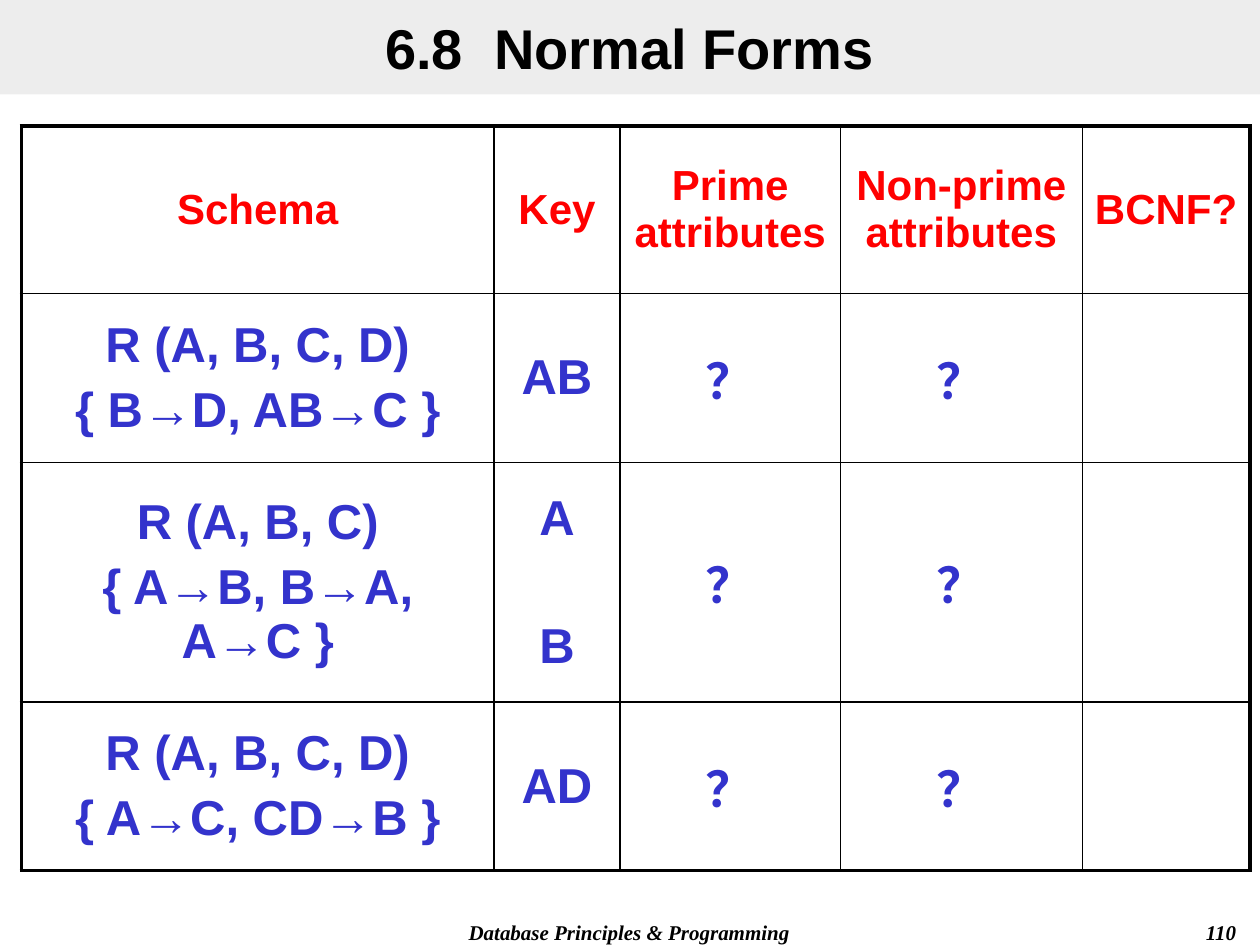
from lxml import etree
from pptx import Presentation
from pptx.dml.color import RGBColor
from pptx.enum.shapes import MSO_SHAPE
from pptx.enum.text import MSO_ANCHOR, PP_ALIGN
from pptx.oxml.ns import qn
from pptx.util import Inches, Pt

RECTANGLE = MSO_SHAPE.RECTANGLE
MIDDLE = MSO_ANCHOR.MIDDLE
CENTER, RIGHT = PP_ALIGN.CENTER, PP_ALIGN.RIGHT

BLACK, RED, BLUE, GRAY = "000000", "FF0000", "3333CC", "DDDDDD"
THIN, THICK = 1, 2.25
LINE_GAP, KEY_GAP = 5.6, 42

COLUMN_WIDTHS = [3.75, 1, 1.75, 1.92, 1.33]
ROW_HEIGHTS = [1.33, 1.34, 1.9, 1.34]
HEADINGS = ["Schema", "Key", "Prime attributes", "Non-prime attributes", "BCNF?"]
SCHEMAS = [
    (["R (A, B, C, D)", "{ B→D, AB→C }"], ["AB"]),
    (["R (A, B, C)", "{ A→B, B→A, A→C }"], ["A", "B"]),
    (["R (A, B, C, D)", "{ A→C, CD→B }"], ["AD"]),
]


def rgb(color):
    return RGBColor.from_string(color)


def write(paragraph, text, size, color, align=CENTER, font="Arial", italic=False):
    paragraph.alignment = align
    run = paragraph.add_run()
    run.text = text
    run.font.name = font
    run.font.size = Pt(size)
    run.font.bold = True
    run.font.italic = italic
    run.font.color.rgb = rgb(color)


def add_title(slide, text):
    banner = slide.shapes.add_shape(RECTANGLE, 0, 0, Inches(10), Inches(0.75))
    banner.shadow.inherit = False
    banner.line.fill.background()
    banner.fill.solid()
    banner.fill.fore_color.rgb = rgb(GRAY)
    tint = next(banner.fill._xPr.iter(qn("a:srgbClr")))
    etree.SubElement(tint, qn("a:alpha"), val="50000")
    banner.text_frame.vertical_anchor = MIDDLE
    write(banner.text_frame.paragraphs[0], text, 32, BLACK)


def add_footer(slide, text, left, width, align):
    footer = slide.shapes.add_textbox(Inches(left), Inches(7.25), Inches(width), Inches(0.25))
    footer.text_frame.word_wrap = True
    write(footer.text_frame.paragraphs[0], text, 12, BLACK, align, "Times New Roman", True)


def set_borders(cell, widths):
    properties = cell._tc.get_or_add_tcPr()
    for side, width in widths.items():
        border = etree.SubElement(properties, qn(f"a:ln{side}"), w=str(Pt(width)))
        fill = etree.SubElement(border, qn("a:solidFill"))
        etree.SubElement(fill, qn("a:srgbClr"), val=BLACK)


def fill_cell(cell, lines, size, color, gap):
    cell.vertical_anchor = MIDDLE
    cell.margin_left = cell.margin_right = 0
    frame = cell.text_frame
    for index, line in enumerate(lines):
        paragraph = frame.add_paragraph() if index else frame.paragraphs[0]
        if index:
            paragraph.space_before = Pt(gap)
        write(paragraph, line, size, color)


def add_schema_table(slide):
    rows = [[[heading] for heading in HEADINGS]]
    rows += [[schema, keys, ["？"], ["？"], []] for schema, keys in SCHEMAS]
    last_row, last_column = len(rows) - 1, len(HEADINGS) - 1
    table = slide.shapes.add_table(
        len(rows), len(HEADINGS), Inches(0.17), Inches(1),
        Inches(sum(COLUMN_WIDTHS)), Inches(sum(ROW_HEIGHTS))).table
    table.first_row = table.horz_banding = False
    for column, width in zip(table.columns, COLUMN_WIDTHS):
        column.width = Inches(width)
    for row, height in zip(table.rows, ROW_HEIGHTS):
        row.height = Inches(height)
    for r, row in enumerate(rows):
        size, color = (28, BLUE) if r else (24, RED)
        for c, lines in enumerate(row):
            cell = table.cell(r, c)
            edges = {"L": c == 0, "R": c == last_column, "T": r == 0, "B": r == last_row}
            set_borders(cell, {side: THICK if outer else THIN for side, outer in edges.items()})
            cell.fill.background()
            fill_cell(cell, lines, size, color, KEY_GAP if c == 1 else LINE_GAP)


def main():
    presentation = Presentation()
    presentation.slide_width, presentation.slide_height = Inches(10), Inches(7.5)
    slide = presentation.slides.add_slide(presentation.slide_layouts[6])
    add_footer(slide, "Database Principles & Programming", 2.83, 4.33, CENTER)
    add_footer(slide, "110", 7.83, 2.08, RIGHT)
    add_title(slide, "6.8  Normal Forms")
    add_schema_table(slide)
    presentation.save("out.pptx")


if __name__ == "__main__":
    main()
